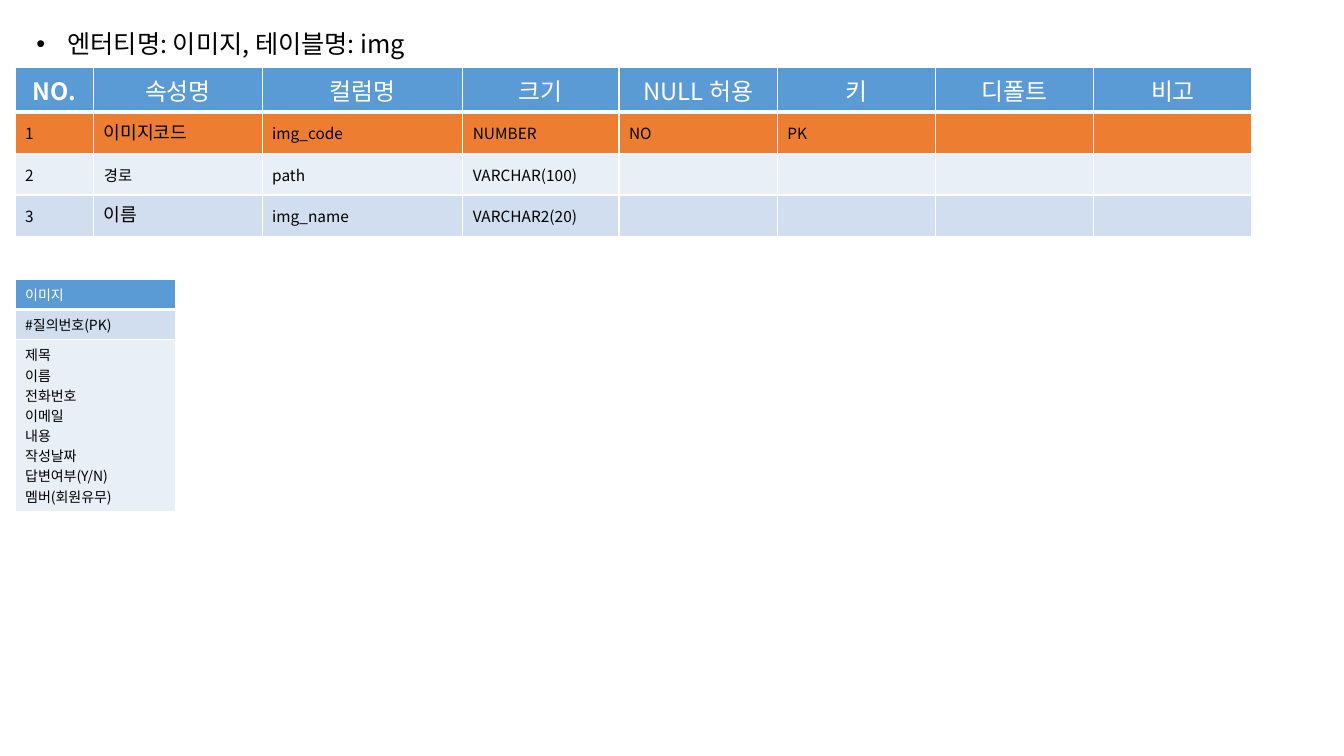
from dataclasses import dataclass

from lxml import etree
from pptx import Presentation
from pptx.dml.color import RGBColor
from pptx.enum import text
from pptx.oxml import ns
from pptx.util import Inches, Pt


@dataclass(frozen=True)
class Theme:
    font: str = "Noto Sans CJK KR"
    accent_font: str = "Arial"
    white: str = "FFFFFF"
    black: str = "000000"
    header: str = "5B9BD5"
    key: str = "ED7D31"
    light: str = "E9EFF7"
    dark: str = "D0DEEF"
    title_size: float = 18
    header_size: float = 17
    accent_size: float = 13
    cell_size: float = 11
    entity_size: float = 10
    thin: float = 1
    thick: float = 3


THEME = Theme()


def write(para, words, size, color=THEME.black, font=THEME.font, bold=False,
          align=text.PP_ALIGN.LEFT):
    para.alignment = align
    if not words:
        etree.SubElement(para._p, ns.qn("a:endParaRPr"), sz=str(int(size * 100)))
        return
    span = para.add_run()
    span.text = words
    span.font.size = Pt(size)
    span.font.name = font
    span.font.bold = bold
    span.font.color.rgb = RGBColor.from_string(color)
    east_asian = etree.SubElement(span._r.get_or_add_rPr(), ns.qn("a:ea"))
    east_asian.set("typeface", font)


class Page:
    def __init__(self, deck, theme):
        self.theme = theme
        self.slide = deck.slides.add_slide(deck.slide_layouts[1])
        title = self.slide.shapes.title
        title.element.getparent().remove(title.element)

    def bullet(self, words, left, top, width, height):
        box = self.slide.placeholders[1]
        box.left, box.top = Inches(left), Inches(top)
        box.width, box.height = Inches(width), Inches(height)
        frame = box.text_frame
        frame.auto_size = text.MSO_AUTO_SIZE.NONE
        frame.vertical_anchor = text.MSO_ANCHOR.TOP
        para = frame.paragraphs[0]
        para.space_before = Pt(0)
        write(para, words, self.theme.title_size)
        indent = Inches(0.31)
        props = para._p.get_or_add_pPr()
        props.set("marL", str(indent))
        props.set("indent", str(-indent))
        etree.SubElement(props, ns.qn("a:buFont"), typeface="Arial")
        etree.SubElement(props, ns.qn("a:buChar"), char="•")

    def table(self, left, top, widths, heights):
        frame = self.slide.shapes.add_table(
            len(heights), len(widths), Inches(left), Inches(top),
            Inches(sum(widths)), Inches(sum(heights)))
        grid = frame.table
        grid.first_row = grid.horz_banding = False
        for column, width in zip(grid.columns, widths):
            column.width = Inches(width)
        for row, height in zip(grid.rows, heights):
            row.height = Inches(height)
        return grid

    def cell(self, grid, row, column, words, fill, anchor=text.MSO_ANCHOR.TOP, **style):
        cell = grid.cell(row, column)
        cell.vertical_anchor = anchor
        cell.fill.solid()
        cell.fill.fore_color.rgb = RGBColor.from_string(fill)
        for index, line in enumerate(words.split("\n")):
            frame = cell.text_frame
            para = frame.add_paragraph() if index else frame.paragraphs[0]
            write(para, line, **style)
        self.borders(cell, row)

    def borders(self, cell, row):
        props = cell._tc.get_or_add_tcPr()
        thick_side = {0: "lnB", 1: "lnT"}.get(row)
        for index, side in enumerate(("lnL", "lnR", "lnT", "lnB")):
            weight = self.theme.thick if side == thick_side else self.theme.thin
            line = etree.Element(ns.qn(f"a:{side}"), w=str(Pt(weight)))
            fill = etree.SubElement(line, ns.qn("a:solidFill"))
            etree.SubElement(fill, ns.qn("a:srgbClr"), val=self.theme.white)
            props.insert(index, line)


HEADINGS = ["NO.", "속성명", "컬럼명", "크기", "NULL 허용", "키", "디폴트", "비고"]
ATTRIBUTES = [
    (THEME.key, ["1", "이미지코드", "img_code", "NUMBER", "NO", "PK", "", ""]),
    (THEME.light, ["2", "경로", "path", "VARCHAR(100)", "", "", "", ""]),
    (THEME.dark, ["3", "이름", "img_name", "VARCHAR2(20)", "", "", "", ""]),
]
ACCENTED = {"이미지코드", "이름"}
FIELDS = ["제목", "이름", "전화번호", "이메일", "내용", "작성날짜", "답변여부(Y/N)", "멤버(회원유무)"]
ENTITY = [
    ("이미지", THEME.header, THEME.white),
    ("#질의번호(PK)", THEME.dark, THEME.black),
    ("\n".join(FIELDS), THEME.light, THEME.black),
]

deck = Presentation()
deck.slide_width, deck.slide_height = Inches(13.33), Inches(7.5)
page = Page(deck, THEME)

entity = page.table(0.15, 2.77, [1.59], [0.2, 0.2, 1.17])
for row, (words, fill, color) in enumerate(ENTITY):
    page.cell(entity, row, 0, words, fill, size=THEME.entity_size, color=color)

page.bullet("엔터티명: 이미지, 테이블명: img", 0.26, 0.23, 5.75, 0.4)

columns = page.table(0.15, 0.67, [0.78, 1.67, 1.99, 1.55] + [1.57] * 4, [0.41] * 4)
for column, heading in enumerate(HEADINGS):
    page.cell(columns, 0, column, heading, THEME.header, size=THEME.header_size,
              color=THEME.white, bold=column == 0, align=text.PP_ALIGN.CENTER)
for row, (fill, values) in enumerate(ATTRIBUTES, 1):
    for column, value in enumerate(values):
        accented = value in ACCENTED
        page.cell(columns, row, column, value, fill, anchor=text.MSO_ANCHOR.MIDDLE,
                  size=THEME.accent_size if accented else THEME.cell_size,
                  font=THEME.accent_font if accented else THEME.font)

deck.save("out.pptx")
